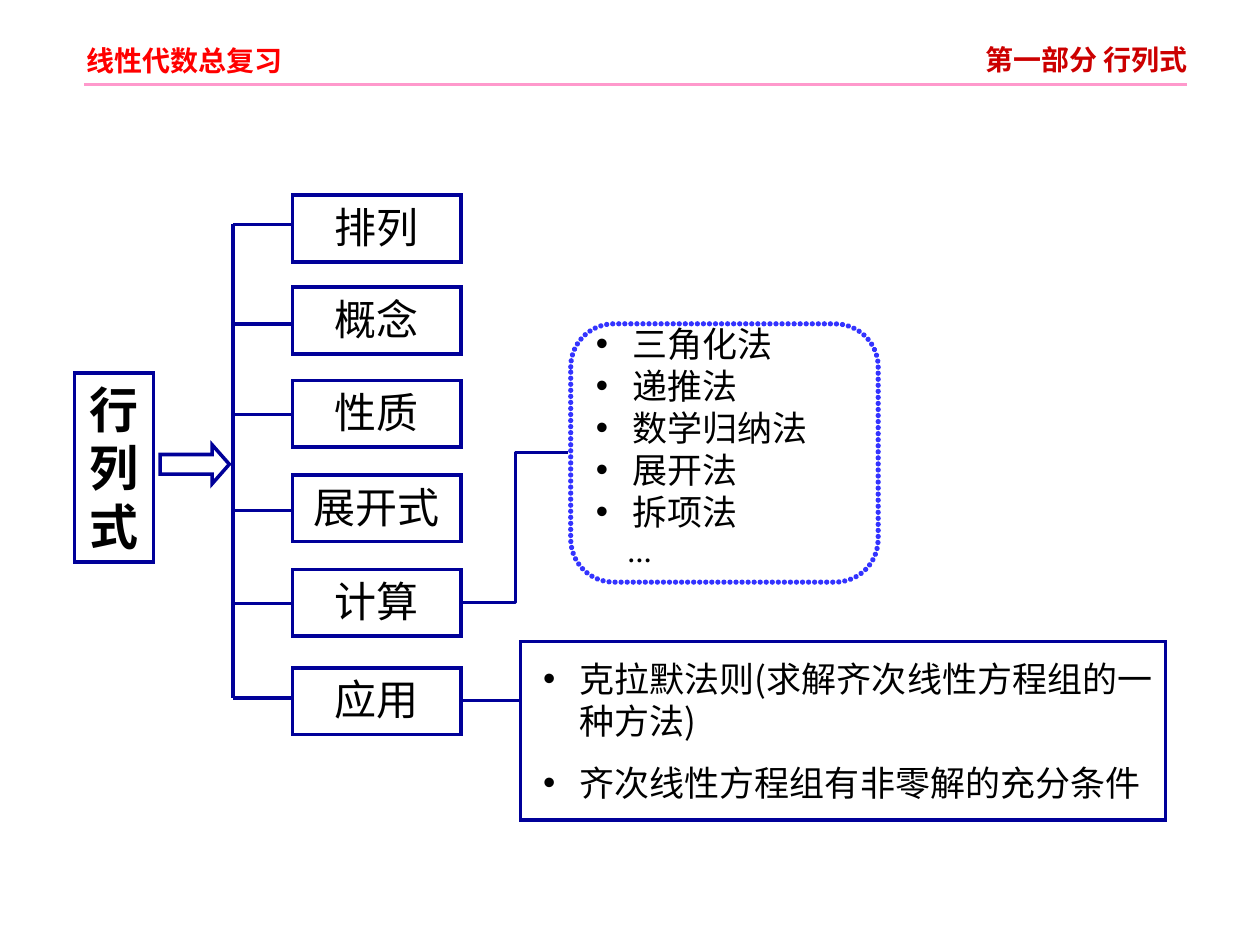
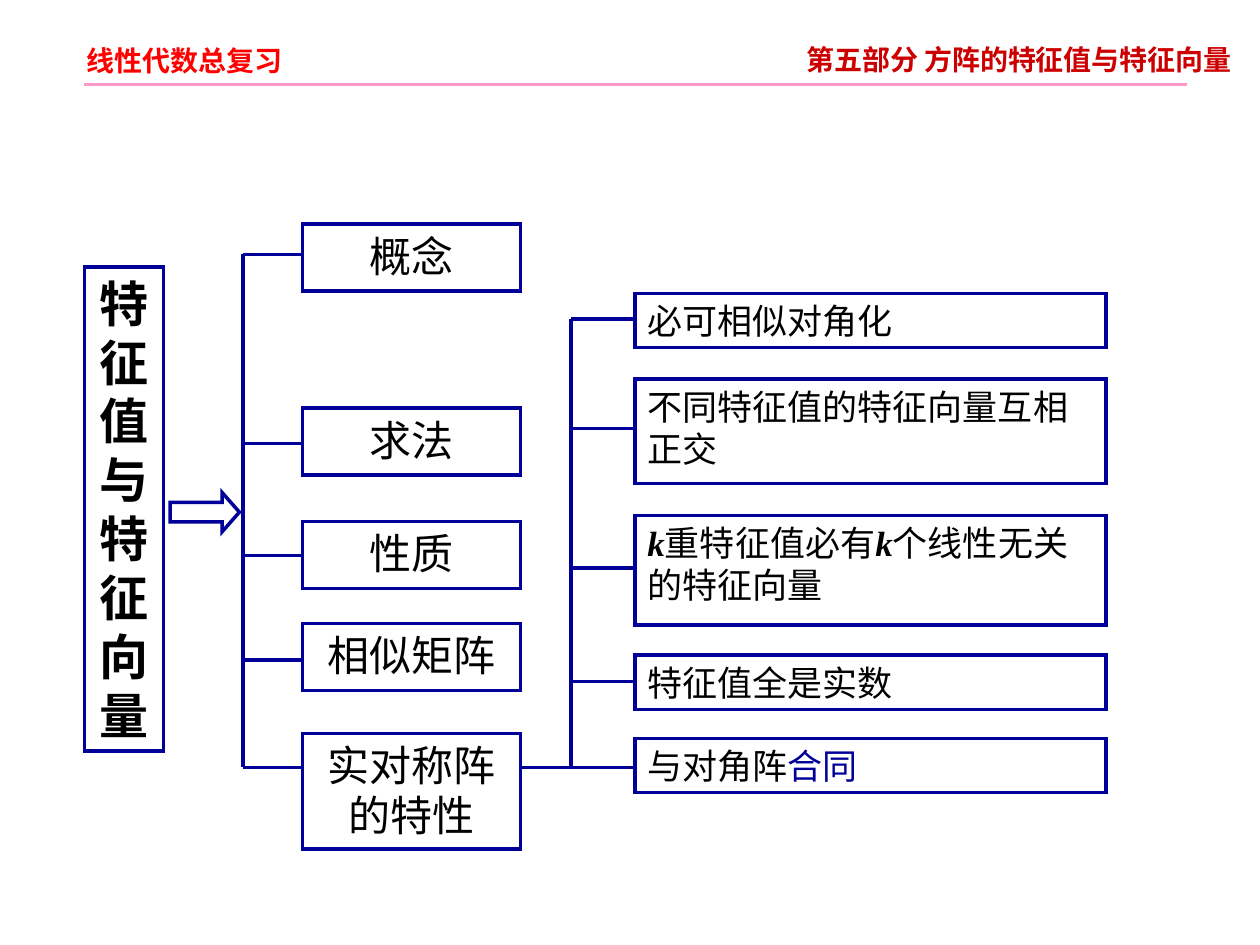
from lxml.etree import SubElement
from pptx import Presentation
from pptx.dml.color import RGBColor
from pptx.enum.shapes import MSO_CONNECTOR as CONNECTOR, MSO_SHAPE as SHAPE
from pptx.enum.text import MSO_ANCHOR as ANCHOR, MSO_AUTO_SIZE as AUTO_SIZE, PP_ALIGN as ALIGN
from pptx.oxml.ns import qn
from pptx.util import Inches, Pt

RED = RGBColor(0xFF, 0x00, 0x00)
DARK_RED = RGBColor(0xCC, 0x00, 0x00)
PINK = RGBColor(0xFF, 0x99, 0xCC)
NAVY = RGBColor(0x00, 0x00, 0x99)
BLUE = RGBColor(0x33, 0x33, 0xFF)
BLACK = RGBColor(0x00, 0x00, 0x00)

CHINESE = "Noto Sans CJK SC"
LATIN = "Times New Roman"
COLUMNS = 100  # square grid cells: 100 columns by 75 rows
TWO_LISTS, TITLE_ONLY = 3, 5
HANGING = Inches(0.29)


def format_run(run, size=20, color=BLACK, bold=False, italic=False, font=CHINESE, raised=0):
    run.font.size = Pt(size)
    run.font.bold = bold
    run.font.italic = italic
    run.font.color.rgb = color
    run.font.name = font
    properties = run._r.get_or_add_rPr()
    SubElement(properties, qn("a:ea")).set("typeface", font)
    if raised:
        properties.set("baseline", str(raised * 1000))


def write(shape, paragraphs, align=ALIGN.LEFT, anchor=ANCHOR.TOP, wrap=True, gap=0,
          bullet=False, insets=(0.1, 0.05, 0.1, 0.05), **style):
    """Fill a shape; a paragraph is a string or a list of (text, style) runs."""
    frame = shape.text_frame
    frame.auto_size = AUTO_SIZE.NONE
    frame.word_wrap = wrap
    frame.vertical_anchor = anchor
    (frame.margin_left, frame.margin_top,
     frame.margin_right, frame.margin_bottom) = map(Inches, insets)
    for index, content in enumerate(paragraphs):
        paragraph = frame.add_paragraph() if index else frame.paragraphs[0]
        paragraph.alignment = align
        paragraph.space_before = Pt(gap if index else 0)
        if bullet:
            add_bullet(paragraph)
        runs = [(content, {})] if isinstance(content, str) else content
        for words, changes in runs:
            run = paragraph.add_run()
            run.text = words
            format_run(run, **{**style, **changes})


def add_bullet(paragraph):
    properties = paragraph._p.get_or_add_pPr()
    properties.set("marL", str(HANGING))
    properties.set("indent", str(-HANGING))
    color = SubElement(properties, qn("a:buClr"))
    SubElement(color, qn("a:srgbClr")).set("val", str(BLACK))
    SubElement(properties, qn("a:buChar")).set("char", "•")


def remove_bullet(paragraph, margin):
    properties = paragraph._p.get_or_add_pPr()
    for tag in ("a:buClr", "a:buChar"):
        properties.remove(properties.find(qn(tag)))
    properties.set("marL", str(margin))
    properties.set("indent", "0")
    SubElement(properties, qn("a:buNone"))


class MindMap:
    """Current slide plus the look of its boxes, lines and lists."""

    def __init__(self):
        self.presentation = Presentation()
        self.presentation.slide_width = Inches(10)
        self.presentation.slide_height = Inches(7.5)
        self.cell = self.presentation.slide_width / COLUMNS
        self.slide = None

    def units(self, *cells):
        return [round(count * self.cell) for count in cells]

    def start(self, section, left, layout):
        """Add a slide whose section title runs from left to the slide's edge."""
        self.slide = self.presentation.slides.add_slide(
            self.presentation.slide_layouts[layout])
        heading = dict(size=16, bold=True)
        self.line((6.7, 6.7), (94.2, 6.7), PINK, 1.5)
        course = self.slide.shapes.add_textbox(*self.units(5.9, 3, 17.5, 3.7))
        write(course, ["线性代数总复习"], color=RED, wrap=False, **heading)
        title = self.slide.shapes.title
        self.place(title, (left, 2.9, COLUMNS - left, 3.7))
        write(title, [section], color=DARK_RED, insets=(0.1, 0.05, 0, 0.05), **heading)

    def place(self, shape, area):
        shape.left, shape.top, shape.width, shape.height = self.units(*area)

    def outline(self, shape, color=NAVY, width=2):
        shape.fill.background()
        shape.line.color.rgb = color
        shape.line.width = Pt(width)
        line = shape.element.spPr.find(qn("a:ln"))
        SubElement(line, qn("a:miter")).set("lim", "800000")

    def shape(self, kind, area, color=NAVY, width=2):
        shape = self.slide.shapes.add_shape(kind, *self.units(*area))
        shape.shadow.inherit = False
        self.outline(shape, color, width)
        return shape

    def box(self, area, content, **style):
        write(self.shape(SHAPE.RECTANGLE, area), [content], **style)

    def topic(self, area, content):
        self.box(area, content, size=24, align=ALIGN.CENTER)

    def root(self, area, content, arrow_top):
        """Tall subject box with the arrow that leads to the trunk."""
        self.box(area, content, size=28, bold=True, align=ALIGN.CENTER)
        left, width = area[0], area[2]
        arrow = self.shape(SHAPE.RIGHT_ARROW, (left + width + 0.5, arrow_top, 5.5, 3.1))
        arrow.adjustments[1] = 0.44

    def line(self, start, end, color=NAVY, width=2, kind=CONNECTOR.STRAIGHT):
        connector = self.slide.shapes.add_connector(kind, *self.units(*start, *end))
        connector.line.color.rgb = color
        connector.line.width = Pt(width)
        SubElement(connector.element.spPr, qn("a:effectLst"))

    def branches(self, trunk, tip, rows):
        self.line((trunk, rows[0]), (trunk, rows[-1]))
        for row in rows:
            self.line((trunk, row), (tip, row))

    def dotted_frame(self, area):
        frame = self.shape(SHAPE.ROUNDED_RECTANGLE, area, BLUE, 3)
        outline = frame.element.spPr.find(qn("a:ln"))
        outline.set("cap", "rnd")
        dashes = SubElement(outline, qn("a:custDash"))
        dot = SubElement(dashes, qn("a:ds"))
        dot.set("d", "1000")
        dot.set("sp", "114000")
        outline.insert(1, dashes)  # dashes come before the line join

    def bullets(self, index, area, items, **style):
        body = self.slide.placeholders[index]
        self.place(body, area)
        write(body, items, bullet=True, **style)
        return body


def determinants(board):
    board.start("第一部分 行列式", 77.2, TWO_LISTS)
    board.root((5.9, 29.6, 6.3, 15), "行列式", 35.3)
    topics = {"排列": 15.5, "概念": 22.8, "性质": 30.2, "展开式": 37.7, "计算": 45.2, "应用": 53}
    for name, top in topics.items():
        board.topic((23.2, top, 13.4, 5.3), name)
    board.branches(18.5, 23.2, [17.8, 25.7, 32.9, 40.5, 47.9, 55.4])

    board.dotted_frame((45.3, 25.7, 24.4, 20.5))
    ellipsis = [("…", dict(size=24, bold=True, font=LATIN, raised=30))]
    methods = board.bullets(
        1, (46.3, 25.1, 22.4, 21),
        ["三角化法", "递推法", "数学归纳法", "展开法", "拆项法", ellipsis])
    remove_bullet(methods.text_frame.paragraphs[-1], Inches(0.25))
    board.line((36.7, 47.8), (45.1, 35.9), kind=CONNECTOR.ELBOW)

    uses = board.bullets(
        2, (41.3, 50.9, 51.2, 14.2),
        ["克拉默法则(求解齐次线性方程组的一种方法)", "齐次线性方程组有非零解的充分条件"],
        gap=11, insets=(0.18, 0.13, 0.1, 0.05))
    board.outline(uses)
    board.line((36.6, 55.6), (41.3, 55.6))


def eigenvalues(board):
    board.start("第五部分 方阵的特征值与特征向量", 63, TITLE_ONLY)
    board.root((6.7, 21.2, 6.3, 38.4), "特征值与特征向量", 39.1)
    topics = [("概念", 17.8, 5.3), ("求法", 32.4, 5.3), ("性质", 41.4, 5.3),
              ("相似矩阵", 49.5, 5.3), ("实对称阵的特性", 58.2, 9.2)]
    for name, top, height in topics:
        board.topic((24, top, 17.3, height), name)
    board.branches(19.3, 24, [20.2, 35.2, 44.1, 52.4, 60.9])

    variable = ("k", dict(font=LATIN, bold=True, italic=True))
    properties = [
        ("必可相似对角化", 23.3, 4.3),
        ("不同特征值的特征向量互相正交", 30.1, 8.3),
        ([variable, ("重特征值必有", {}), variable, ("个线性无关的特征向量", {})], 40.9, 8.7),
        ("特征值全是实数", 52, 4.3),
        ([("与对角阵", {}), ("合同", dict(color=NAVY))], 58.6, 4.3),
    ]
    for content, top, height in properties:
        board.box((50.4, top, 37.4, height), content)
    board.branches(45.3, 50.3, [25.3, 34, 45.1, 54.1, 60.9])
    board.line((41.3, 60.9), (45.3, 60.9))


def main():
    board = MindMap()
    determinants(board)
    eigenvalues(board)
    board.presentation.save("out.pptx")


if __name__ == "__main__":
    main()
